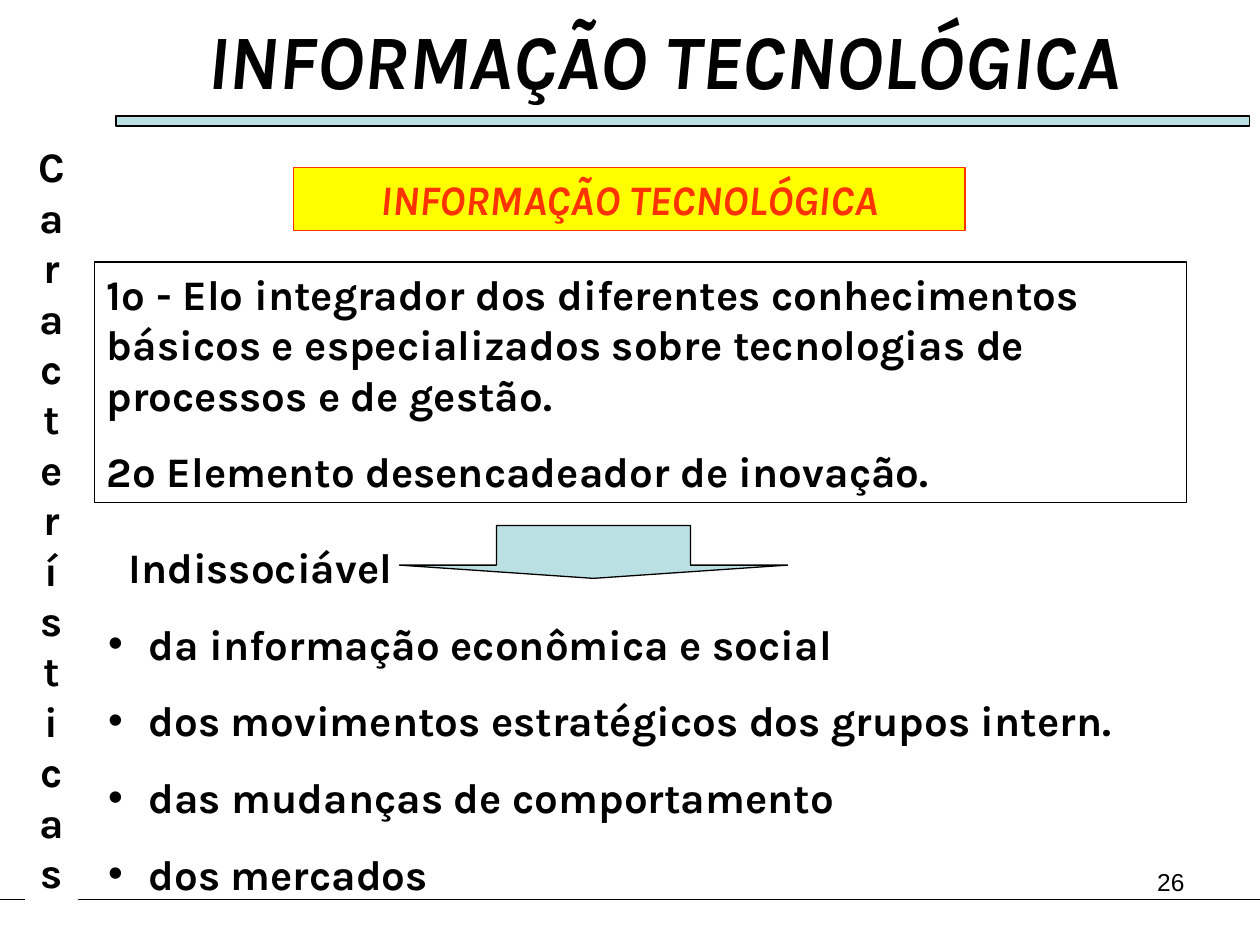
from dataclasses import dataclass
from typing import Optional

from lxml.etree import SubElement
from pptx import Presentation
from pptx.dml.color import RGBColor
from pptx.enum.shapes import MSO_CONNECTOR as Connector, MSO_SHAPE as Shape
from pptx.enum.text import MSO_ANCHOR as Anchor, MSO_AUTO_SIZE as AutoSize, PP_ALIGN as Align
from pptx.oxml.ns import qn
from pptx.util import Inches, Pt

BLACK, WHITE, PALE_BLUE = "000000", "FFFFFF", "BBE0E3"
YELLOW, RED = "FFFF00", "FF3300"
TITLE = "INFORMAÇÃO TECNOLÓGICA"
BODY_FONT = {"name": "Karla", "size": Pt(24), "bold": True, "italic": False}
TITLE_FONT = BODY_FONT | {"size": Pt(44), "italic": True}
NUMBER_FONT = {"name": "Arial", "size": Pt(14), "bold": False, "italic": False}


@dataclass
class Line:
    text: str
    indent: float = 0
    bullet: bool = False


@dataclass
class Panel:
    area: tuple[float, float, float, float]
    kind: Shape = Shape.RECTANGLE
    fill: Optional[str] = None
    line: Optional[str] = BLACK
    lines: tuple[Line, ...] = ()
    font: Optional[dict] = None
    color: str = BLACK
    align: Align = Align.LEFT


def rgb(value: str) -> RGBColor:
    return RGBColor.from_string(value)


def add_bullet(para, margin: float, hanging: float) -> None:
    props = para._p.get_or_add_pPr()
    props.set("marL", str(Inches(margin)))
    props.set("indent", str(-Inches(hanging)))
    SubElement(props, qn("a:buFont")).set("typeface", "Arial")
    SubElement(props, qn("a:buChar")).set("char", "•")


def write(box, lines: tuple[Line, ...], font: dict, color: str, align: Align) -> None:
    frame = box.text_frame
    frame.word_wrap = True
    frame.auto_size = AutoSize.NONE
    frame.vertical_anchor = Anchor.TOP
    for index, line in enumerate(lines):
        para = frame.paragraphs[0] if index == 0 else frame.add_paragraph()
        para.alignment = align
        para.space_before = Pt(15 if index else 0)
        if line.bullet:
            add_bullet(para, line.indent, 0.32)
        elif line.indent:
            para._p.get_or_add_pPr().set("indent", str(Inches(line.indent)))
        span = para.add_run()
        span.text = line.text
        for name, value in font.items():
            setattr(span.font, name, value)
        span.font.color.rgb = rgb(color)


def add_panel(page, panel: Panel) -> None:
    box = page.shapes.add_shape(panel.kind, *map(Inches, panel.area))
    box.shadow.inherit = False
    if panel.fill:
        box.fill.solid()
        box.fill.fore_color.rgb = rgb(panel.fill)
    else:
        box.fill.background()
    if panel.line:
        box.line.color.rgb = rgb(panel.line)
        box.line.width = Pt(0.75)
    else:
        box.line.fill.background()
    if panel.lines:
        write(box, panel.lines, panel.font or BODY_FONT, panel.color, panel.align)


def add_text(page, area: tuple[float, float, float, float], lines: tuple[Line, ...],
             font: dict, align: Align) -> None:
    box = page.shapes.add_textbox(*map(Inches, area))
    write(box, lines, font, BLACK, align)


def add_rule(page, y: float) -> None:
    rule = page.shapes.add_connector(
        Connector.STRAIGHT, Inches(0), Inches(y), Inches(10), Inches(y))
    rule.line.color.rgb = rgb(BLACK)
    rule.line.width = Pt(0.75)
    SubElement(rule._element.spPr, qn("a:effectLst"))


def main() -> None:
    deck = Presentation()
    deck.slide_width, deck.slide_height = Inches(10), Inches(7.5)
    page = deck.slides.add_slide(deck.slide_layouts[5])

    # Title
    title = page.shapes.title
    title.left, title.top, title.width, title.height = map(Inches, (0.54, 0.05, 9.46, 0.84))
    write(title, (Line(TITLE),), TITLE_FONT, BLACK, Align.CENTER)

    # Title bar and footer rule
    add_panel(page, Panel((0.92, 0.92, 9, 0.08), fill=PALE_BLUE))
    add_rule(page, 7.14)

    # Heading, definitions, arrow and vertical label
    panels = (
        Panel((2.33, 1.33, 5.33, 0.5), fill=YELLOW, line=RED, lines=(Line(TITLE),),
              font=BODY_FONT | {"italic": True}, color=RED, align=Align.CENTER),
        Panel((0.75, 2.08, 8.67, 1.91), lines=(
            Line("1º - Elo integrador dos diferentes conhecimentos básicos e "
                 "especializados sobre tecnologias de processos e de gestão."),
            Line("2º Elemento desencadeador de inovação."))),
        Panel((3.17, 4.17, 3.08, 0.42), kind=Shape.DOWN_ARROW, fill=PALE_BLUE),
        Panel((0.2, 1.07, 0.42, 6.1), fill=WHITE, line=None,
              lines=(Line("Características"),), align=Align.CENTER),
    )
    for panel in panels:
        if panel.kind == Shape.DOWN_ARROW:
            # Wide, flat arrowhead: a quarter of the height
            add_panel(page, panel)
            arrow = page.shapes[-1]
            arrow.adjustments[0], arrow.adjustments[1] = 0.5, 0.25
        else:
            add_panel(page, panel)

    # Inseparable links
    links = ("da informação econômica e social",
             "dos movimentos estratégicos dos grupos intern.",
             "das mudanças de comportamento",
             "dos mercados")
    add_text(page, (0.5, 4.25, 9.08, 2.94),
             (Line("Indissociável", indent=0.42),
              *(Line(link, indent=0.58, bullet=True) for link in links)),
             BODY_FONT, Align.LEFT)

    # Page number
    add_text(page, (7.17, 6.83, 2.33, 0.52), (Line("26"),), NUMBER_FONT, Align.RIGHT)

    deck.save("out.pptx")


if __name__ == "__main__":
    main()
